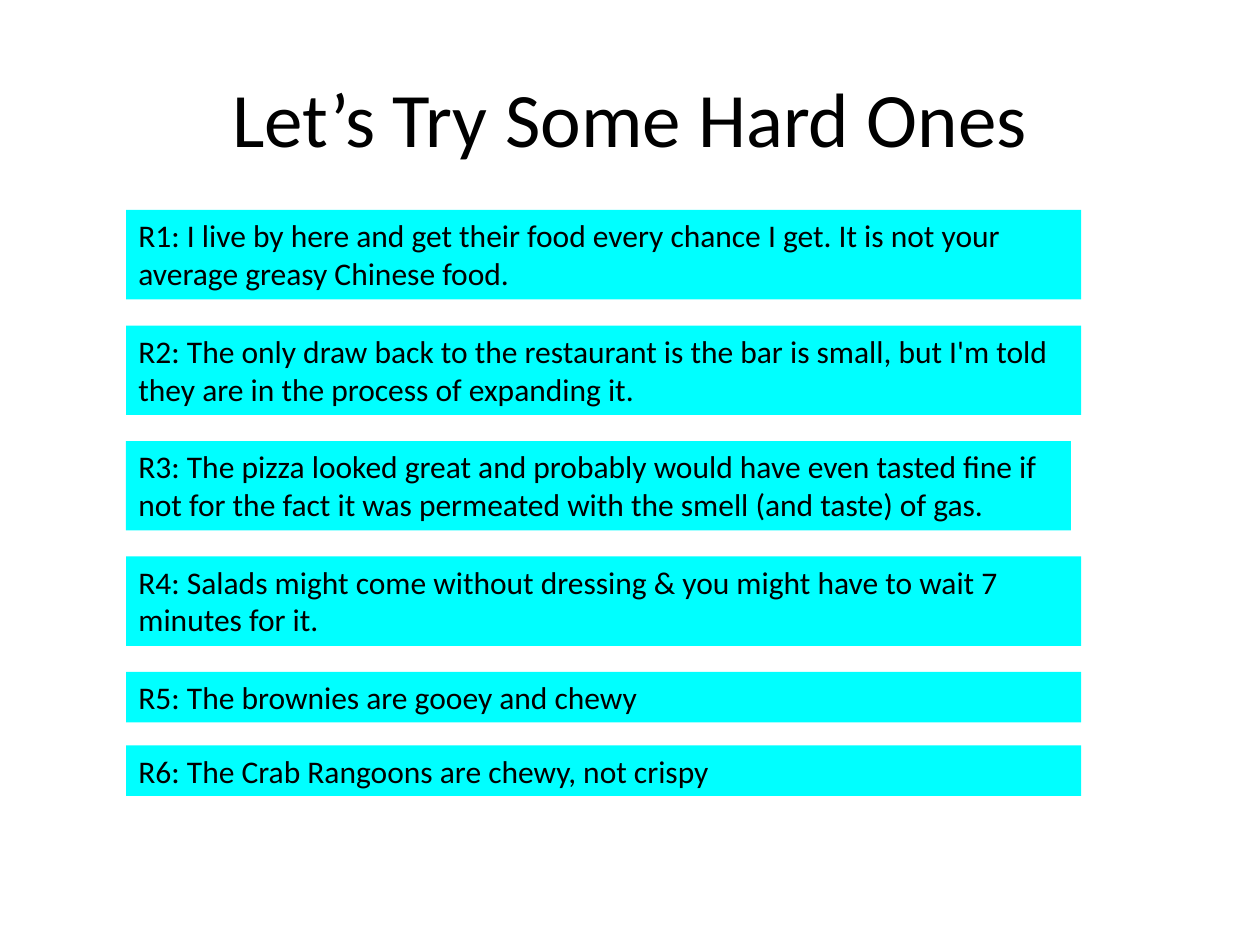
"""Build a slide of restaurant review sentences that are hard to classify."""
import pptx
import pptx.dml.color
import pptx.enum.shapes
import pptx.enum.text
import pptx.util

Inches = pptx.util.Inches

TITLE = "Let’s Try Some Hard Ones"
REVIEWS = [
    ("R1: I live by here and get their food every chance I get. It is not your average greasy Chinese food.", 2, 7.58),
    ("R2: The only draw back to the restaurant is the bar is small, but I'm told they are in the process of expanding it.", 2, 7.58),
    ("R3: The pizza looked great and probably would have even tasted fine if not for the fact it was permeated with the smell (and taste) of gas.", 2, 7.5),
    ("R4: Salads might come without dressing & you might have to wait 7 minutes for it.", 2, 7.58),
    ("R5: The brownies are gooey and chewy", 1, 7.58),
    ("R6: The Crab Rangoons are chewy, not crispy", 1, 7.58),
]
COLORS = {"text": "000000", "review": "00FFFF", "background": "FFFFFF"}
FONT = "Calibri"
REVIEW_LEFT = 1
FIRST_TOP = 20 / 12
HEIGHT_BY_LINES = {1: 0.4, 2: 0.71}
STEP_BY_LINES = {1: 7 / 12, 2: 11 / 12}


def color(name):
    return pptx.dml.color.RGBColor.from_string(COLORS[name])


def write_text(shape, text, size, alignment, anchor):
    frame = shape.text_frame
    frame.word_wrap = True
    frame.vertical_anchor = anchor
    frame.text = text
    paragraph = frame.paragraphs[0]
    paragraph.alignment = alignment
    font = paragraph.runs[0].font
    font.name = FONT
    font.size = pptx.util.Pt(size)
    font.color.rgb = color("text")


def add_title(slide):
    box = slide.shapes.add_textbox(Inches(0.5), Inches(0.3), Inches(9), Inches(1.25))
    write_text(box, TITLE, 44, pptx.enum.text.PP_ALIGN.CENTER, pptx.enum.text.MSO_ANCHOR.MIDDLE)


def add_reviews(slide):
    top = FIRST_TOP
    for text, lines, width in REVIEWS:
        shape = slide.shapes.add_shape(
            pptx.enum.shapes.MSO_SHAPE.RECTANGLE,
            Inches(REVIEW_LEFT), Inches(top), Inches(width), Inches(HEIGHT_BY_LINES[lines]),
        )
        shape.shadow.inherit = False
        shape.fill.solid()
        shape.fill.fore_color.rgb = color("review")
        shape.line.fill.background()
        write_text(shape, text, 18, pptx.enum.text.PP_ALIGN.LEFT, pptx.enum.text.MSO_ANCHOR.TOP)
        shape.text_frame.auto_size = pptx.enum.text.MSO_AUTO_SIZE.SHAPE_TO_FIT_TEXT
        top += STEP_BY_LINES[lines]


def main():
    presentation = pptx.Presentation()
    presentation.slide_width = Inches(10)
    presentation.slide_height = Inches(7.5)
    slide = presentation.slides.add_slide(presentation.slide_layouts[6])
    slide.background.fill.solid()
    slide.background.fill.fore_color.rgb = color("background")
    add_title(slide)
    add_reviews(slide)
    presentation.save("out.pptx")


if __name__ == "__main__":
    main()
